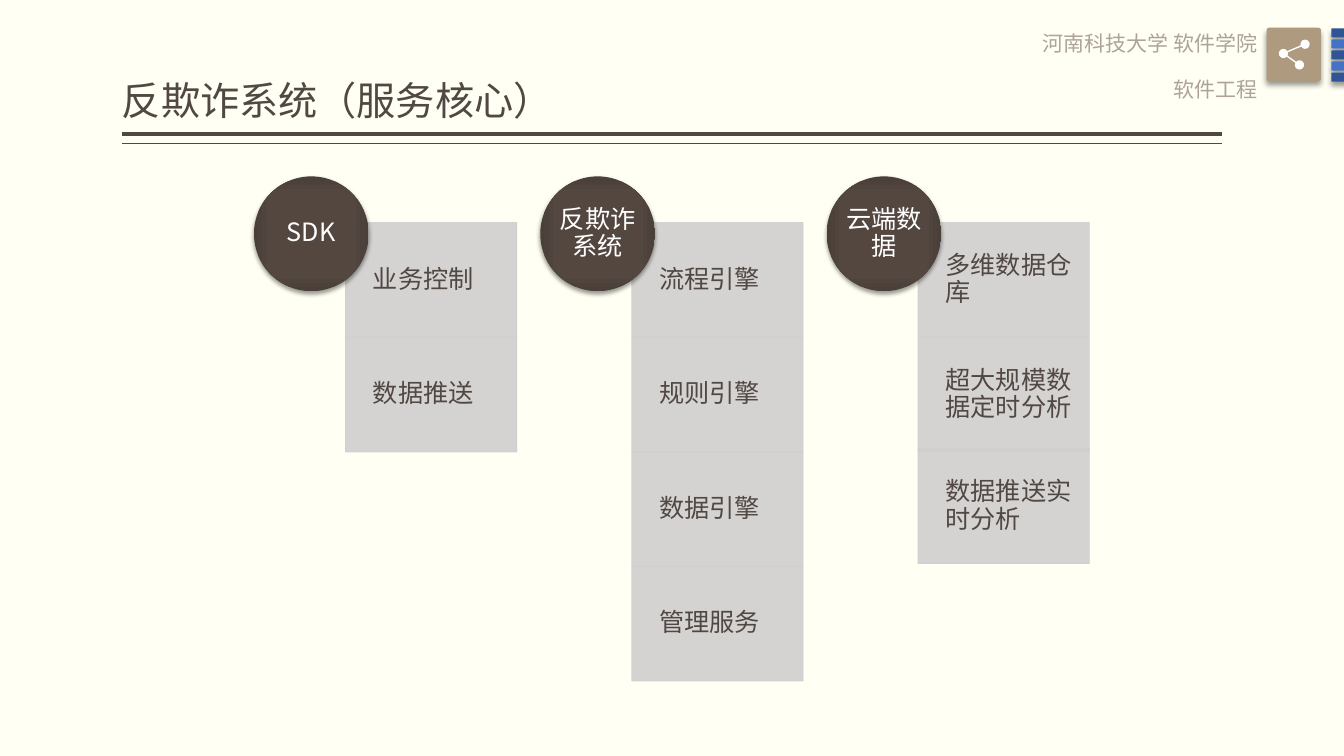
from dataclasses import dataclass

from lxml.etree import SubElement
from pptx import Presentation
from pptx.dml.color import RGBColor
from pptx.enum.shapes import MSO_CONNECTOR as Connector, MSO_SHAPE as Preset
from pptx.enum.text import MSO_ANCHOR as Anchor, PP_ALIGN as Align
from pptx.oxml import parse_xml
from pptx.oxml.ns import nsdecls, qn
from pptx.util import Pt

FONT = "Noto Sans CJK SC"
DARK = "514843"
CARD_GREY = "D0CFCF"
WHITE = "FFFFFF"


@dataclass(frozen=True)
class Column:
    heading: str
    cards: tuple[str, ...]
    last_card_lift: float = 0


@dataclass(frozen=True)
class Box:
    left: float
    top: float
    width: float
    height: float


COLUMNS = (
    Column("SDK", ("业务控制", "数据推送")),
    Column("反欺诈系统", ("流程引擎", "规则引擎", "数据引擎", "管理服务")),
    Column("云端数据", ("多维数据仓库", "超大规模数据定时分析", "数据推送实时分析"), 2),
)
COLUMN_LEFT, COLUMN_PITCH = 181.4, 204.5
CIRCLE_TOP, CIRCLE_SIZE = 126, 82
CARD_OFFSET, CARD_TOP, CARD_STEP = 65.4, 159, 81.8
CARD_WIDTH, CARD_HEIGHT = 122.4, 82


def color(value: str) -> RGBColor:
    return RGBColor.from_string(value)


def add_shape(slide, preset, box: Box, fill: str):
    shape = slide.shapes.add_shape(
        preset, Pt(box.left), Pt(box.top), Pt(box.width), Pt(box.height)
    )
    shape.shadow.inherit = False
    shape.fill.solid()
    shape.fill.fore_color.rgb = color(fill)
    shape.line.fill.background()
    return shape


def add_line(slide, start: tuple, end: tuple, stroke: str, width: float) -> None:
    line = slide.shapes.add_connector(
        Connector.STRAIGHT, Pt(start[0]), Pt(start[1]), Pt(end[0]), Pt(end[1])
    )
    line.line.color.rgb = color(stroke)
    line.line.width = Pt(width)
    SubElement(line._element.spPr, qn("a:effectLst"))


def set_shadow(shape, opacity: int, blur: float, distance: float) -> None:
    properties = shape._element.spPr
    effects = properties.find(qn("a:effectLst"))
    effects.append(parse_xml(
        f'<a:outerShdw {nsdecls("a")} blurRad="{Pt(blur)}" dist="{Pt(distance)}" '
        f'dir="5400000" rotWithShape="0"><a:srgbClr val="000000">'
        f'<a:alpha val="{opacity * 1000}"/></a:srgbClr></a:outerShdw>'
    ))


def set_opacity(fill_element, percent: int) -> None:
    SubElement(fill_element.find(qn("a:srgbClr")), qn("a:alpha"), val=str(percent * 1000))


def set_circle_gradient(shape) -> None:
    stops = "".join(
        f'<a:gs pos="{position * 1000}"><a:srgbClr val="{value}"/></a:gs>'
        for position, value in ((0, "544740"), (71, "534740"), (100, "4A3F39"))
    )
    gradient = parse_xml(
        f'<a:gradFill {nsdecls("a")} rotWithShape="1"><a:gsLst>{stops}</a:gsLst>'
        '<a:path path="rect"><a:fillToRect l="50000" t="50000" r="50000" b="50000"/>'
        "</a:path></a:gradFill>"
    )
    properties = shape._element.spPr
    properties.replace(properties.find(qn("a:solidFill")), gradient)


def style_paragraph(paragraph, size: float, ink: str, align, font: str = FONT) -> None:
    paragraph.alignment = align
    paragraph.line_spacing = 0.9
    paragraph.font.size = Pt(size)
    paragraph.font.name = font
    paragraph.font.color.rgb = color(ink)
    for run in paragraph.runs:
        SubElement(run.font._element, qn("a:ea"), typeface=FONT)


def set_frame(frame, margins: tuple, anchor) -> None:
    frame.word_wrap = True
    frame.vertical_anchor = anchor
    frame.margin_left, frame.margin_top, frame.margin_right, frame.margin_bottom = map(Pt, margins)


def write_label(shape, text: str, ink: str, align, margins: tuple) -> None:
    set_frame(shape.text_frame, margins, Anchor.MIDDLE)
    paragraph = shape.text_frame.paragraphs[0]
    paragraph.text = text
    style_paragraph(paragraph, 18, ink, align)
    paragraph.space_after = Pt(6.3)


def add_title(slide) -> None:
    for top, width in ((96, 3), (102.6, 1)):
        add_line(slide, (87.1, top), (873.1, top), DARK, width)
    title = slide.shapes.title
    title.left, title.top, title.width, title.height = Pt(87.1), Pt(5.8), Pt(786), Pt(86.4)
    title.text = "反欺诈系统（服务核心）"
    set_frame(title.text_frame, (0, 3.6, 0, 3.6), Anchor.BOTTOM)
    style_paragraph(title.text_frame.paragraphs[0], 28, DARK, Align.LEFT)


def add_column(slide, column: Column, left: float) -> None:
    for row, text in enumerate(column.cards):
        lift = column.last_card_lift if row == len(column.cards) - 1 else 0
        top = CARD_TOP + row * CARD_STEP - lift
        box = Box(left + CARD_OFFSET, top, CARD_WIDTH, CARD_HEIGHT)
        card = add_shape(slide, Preset.RECTANGLE, box, CARD_GREY)
        card.line.color.rgb = color(CARD_GREY)
        card.line.width = Pt(0.5)
        properties = card._element.spPr
        for fill_parent in (properties, properties.find(qn("a:ln"))):
            set_opacity(fill_parent.find(qn("a:solidFill")), 90)
        write_label(card, text, DARK, Align.LEFT, (19.6, 10, 10, 10))
    circle = add_shape(
        slide, Preset.OVAL, Box(left, CIRCLE_TOP, CIRCLE_SIZE, CIRCLE_SIZE), "544740"
    )
    set_circle_gradient(circle)
    set_shadow(circle, 38, 3.1, 2)
    write_label(circle, column.heading, WHITE, Align.CENTER, (0, 0, 0, 0))


def add_tile(slide, box: Box, fill: str) -> None:
    tile = add_shape(slide, Preset.ROUNDED_RECTANGLE, box, fill)
    tile.adjustments[0] = 0.05
    set_shadow(tile, 40, 4, 3)


def add_share_badge(slide) -> None:
    for index in range(5):
        fill = "4472C4" if index % 2 else "2F5597"
        add_tile(slide, Box(951.1, 20.2 + index * 7.9, 12.2, 6.5), fill)
    add_tile(slide, Box(904.7, 19.8, 38.9, 38.2), "AE9A7E")
    hub, upper, lower = (916.7, 38.2), (932.2, 31.6), (928.2, 46.4)
    for node in (upper, lower):
        add_line(slide, hub, node, WHITE, 1)
    for x, y in (hub, upper, lower):
        add_shape(slide, Preset.OVAL, Box(x - 3.3, y - 3.3, 6.6, 6.6), WHITE)


def add_affiliation(slide) -> None:
    box = slide.shapes.add_textbox(Pt(734.4), Pt(20.2), Pt(170.6), Pt(44.6))
    frame = box.text_frame
    set_frame(frame, (7.2, 3.6, 7.2, 3.6), Anchor.TOP)
    frame.text = "河南科技大学 软件学院\n软件工程"
    for paragraph, font in zip(frame.paragraphs, (FONT, "Roboto")):
        style_paragraph(paragraph, 15, "ADA29C", Align.RIGHT, font)
    frame.paragraphs[1].space_before = Pt(17)


def main() -> None:
    presentation = Presentation()
    presentation.slide_width, presentation.slide_height = Pt(960), Pt(540)
    slide = presentation.slides.add_slide(presentation.slide_layouts[5])
    slide.background.fill.solid()
    slide.background.fill.fore_color.rgb = color("FFFFF3")
    add_title(slide)
    for index, column in enumerate(COLUMNS):
        add_column(slide, column, COLUMN_LEFT + index * COLUMN_PITCH)
    add_share_badge(slide)
    add_affiliation(slide)
    presentation.save("out.pptx")


if __name__ == "__main__":
    main()
